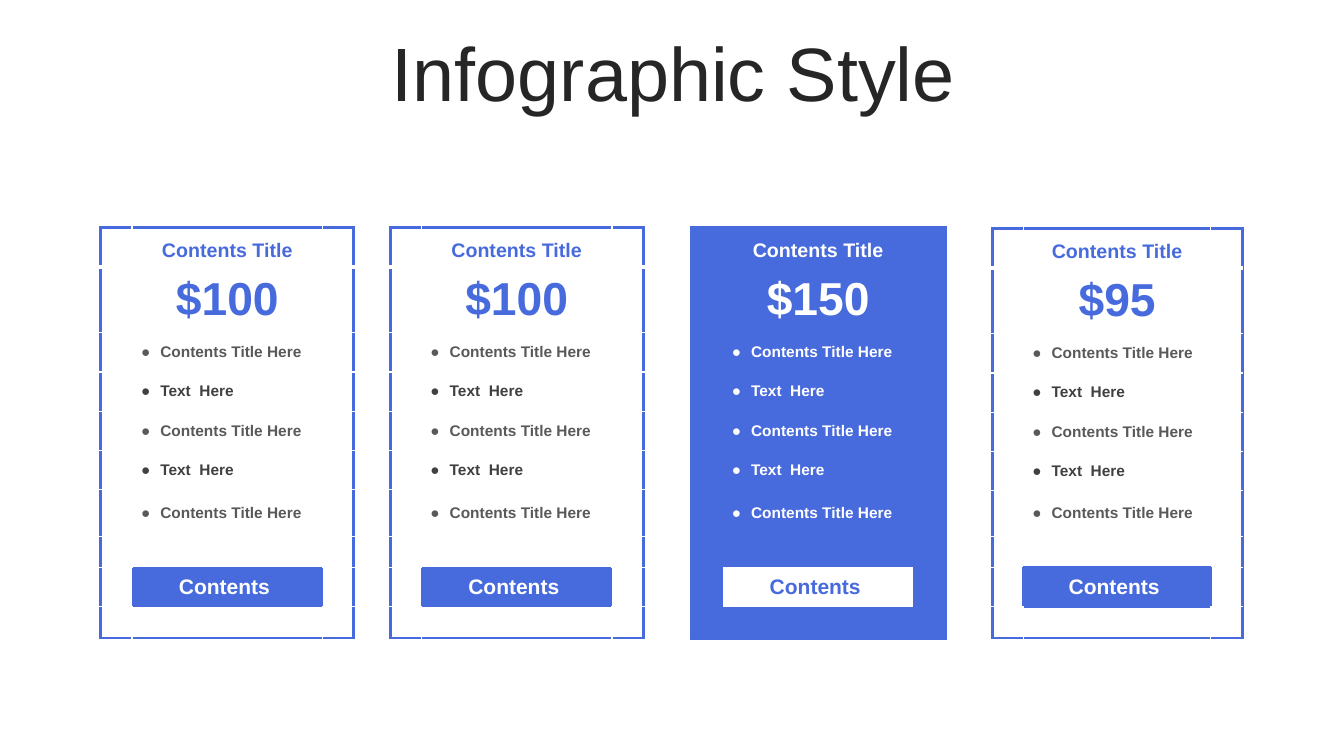
"""Build the pricing slide with four plan cards drawn as tables."""
from dataclasses import dataclass
from typing import Any, Optional

import lxml.etree
import pptx
import pptx.dml.color
import pptx.enum.text
import pptx.oxml.ns
import pptx.util

Inches = pptx.util.Inches
Pt = pptx.util.Pt
ALIGN = pptx.enum.text.PP_ALIGN
ANCHOR = pptx.enum.text.MSO_ANCHOR

COLORS = {
    "accent": "476ADD",
    "white": "FFFFFF",
    "heading": "262626",
    "strong": "404040",
    "soft": "595959",
}
FONT = "Arial"
SIDE_WIDTH = 0.31
BUTTON_ROW = 8
LAST_ROW = 9
LAST_COL = 2
FEATURES = ("Contents Title Here", "Text  Here") * 2 + ("Contents Title Here",)
SIDE_STEPS = {"L": (0, -1), "R": (0, 1), "T": (-1, 0), "B": (1, 0)}


@dataclass(frozen=True)
class Edge:
    """A cell border."""
    color: str
    width: float


@dataclass(frozen=True)
class Card:
    """A pricing plan."""
    left: float
    top: float
    price: str
    middle_width: float = 1.89
    last_feature_height: float = 0.46
    featured: bool = False
    button_edge: Optional[Edge] = None

    @property
    def row_heights(self) -> list[float]:
        """Heights of all rows from title to footer."""
        return [0.39, 0.65] + [0.39] * 4 + [self.last_feature_height, 0.31, 0.39, 0.31]


@dataclass(frozen=True)
class Line:
    """The text of one card row."""
    text: str
    size: float
    color: str
    bulleted: bool = False


CARDS = (
    Card(1, 2.26, "$100"),
    Card(3.87, 2.26, "$100"),
    Card(6.86, 2.26, "$150", featured=True),
    Card(9.84, 2.27, "$95", 1.86, 0.45, button_edge=Edge("accent", 2.25)),
)


def apply(target: Any, values: dict[str, Any]) -> None:
    """Set each named attribute on the target."""
    for name, value in values.items():
        setattr(target, name, value)


def rgb(color: str) -> pptx.dml.color.RGBColor:
    """Look up a named colour."""
    return pptx.dml.color.RGBColor.from_string(COLORS[color])


def add_element(parent: Any, tag: str, **attributes: str) -> Any:
    """Append a drawing element to the parent."""
    return lxml.etree.SubElement(parent, pptx.oxml.ns.qn(tag), attributes)


def write_run(paragraph: Any, text: str, size: float, color: str, bold: bool) -> None:
    """Add a formatted run."""
    run = paragraph.add_run()
    run.text = text
    apply(run.font, {"name": FONT, "size": Pt(size), "bold": bold})
    run.font.color.rgb = rgb(color)


def find_edge(card: Card, row: int, col: int, side: str) -> Optional[Edge]:
    """Choose the border for one side of a cell."""
    row_step, col_step = SIDE_STEPS[side]
    next_row, next_col = row + row_step, col + col_step
    if not (0 <= next_row <= LAST_ROW and 0 <= next_col <= LAST_COL):
        return Edge("accent", 3 if card.featured else 2.25)
    if (BUTTON_ROW, 1) in ((row, col), (next_row, next_col)):
        return card.button_edge
    if card.featured:
        return None
    return Edge("white", 3 if (row, side) == (0, "B") else 1)


def draw_edge(cell: Any, side: str, edge: Optional[Edge]) -> None:
    """Draw one side of a cell, or clear it."""
    properties = cell._tc.get_or_add_tcPr()
    if edge is None:
        add_element(add_element(properties, f"a:ln{side}", w="0"), "a:noFill")
        return
    line = add_element(properties, f"a:ln{side}", w=str(Pt(edge.width)))
    add_element(add_element(line, "a:solidFill"), "a:srgbClr", val=COLORS[edge.color])


def card_lines(card: Card) -> dict[int, Line]:
    """List the text of a card by row."""
    main = "white" if card.featured else "accent"
    lines = {0: Line("Contents Title", 14, main), 1: Line(card.price, 33, main)}
    for index, feature in enumerate(FEATURES):
        color = "white" if card.featured else ("soft", "strong")[index % 2]
        lines[index + 2] = Line(feature, 11, color, True)
    lines[BUTTON_ROW] = Line("Contents ", 15, "accent" if card.featured else "white")
    return lines


def write_line(cell: Any, line: Line) -> None:
    """Write a card line into its cell."""
    paragraph = cell.text_frame.paragraphs[0]
    if line.bulleted:
        properties = paragraph._p.get_or_add_pPr()
        indent = Inches(0.19)
        properties.set("marL", str(indent))
        properties.set("indent", str(-indent))
        add_element(properties, "a:buFont", typeface=FONT)
        add_element(properties, "a:buChar", char="●")
    else:
        paragraph.alignment = ALIGN.CENTER
    write_run(paragraph, line.text, line.size, line.color, True)


def draw_card(slide: Any, card: Card) -> None:
    """Draw one plan as a table."""
    widths = [SIDE_WIDTH, card.middle_width, SIDE_WIDTH]
    heights = card.row_heights
    table = slide.shapes.add_table(
        len(heights), len(widths), Inches(card.left), Inches(card.top),
        Inches(sum(widths)), Inches(sum(heights)),
    ).table
    apply(table, {"first_row": False, "horz_banding": False})
    for column, width in zip(table.columns, widths):
        column.width = Inches(width)
    lines = card_lines(card)
    for row, height in enumerate(heights):
        table.rows[row].height = Inches(height)
        for col in range(len(widths)):
            cell = table.cell(row, col)
            line = lines.get(row) if col == 1 else None
            side_margin, end_margin = (0.09, 0.05) if line else (0, 0)
            apply(cell, {
                "margin_left": Inches(side_margin),
                "margin_right": Inches(side_margin),
                "margin_top": Inches(end_margin),
                "margin_bottom": Inches(end_margin),
                "vertical_anchor": ANCHOR.BOTTOM if row == 0 else ANCHOR.MIDDLE,
            })
            for side in SIDE_STEPS:
                draw_edge(cell, side, find_edge(card, row, col, side))
            is_button = (row, col) == (BUTTON_ROW, 1)
            cell.fill.solid()
            cell.fill.fore_color.rgb = rgb("accent" if card.featured != is_button else "white")
            if line:
                write_line(cell, line)


def draw_heading(slide: Any) -> None:
    """Write the slide heading."""
    heading = slide.shapes.add_textbox(Inches(0.35), Inches(0.37), Inches(12.66), Inches(0.79))
    apply(heading.text_frame, {"word_wrap": True, "vertical_anchor": ANCHOR.MIDDLE})
    paragraph = heading.text_frame.paragraphs[0]
    apply(paragraph, {"alignment": ALIGN.CENTER, "line_spacing": 0.9})
    write_run(paragraph, "Infographic Style", 54, "heading", False)


def main() -> None:
    """Build and save the slide."""
    deck = pptx.Presentation()
    apply(deck, {"slide_width": Inches(13.33), "slide_height": Inches(7.5)})
    slide = deck.slides.add_slide(deck.slide_layouts[6])
    draw_heading(slide)
    for card in CARDS:
        draw_card(slide, card)
    deck.save("out.pptx")


if __name__ == "__main__":
    main()
